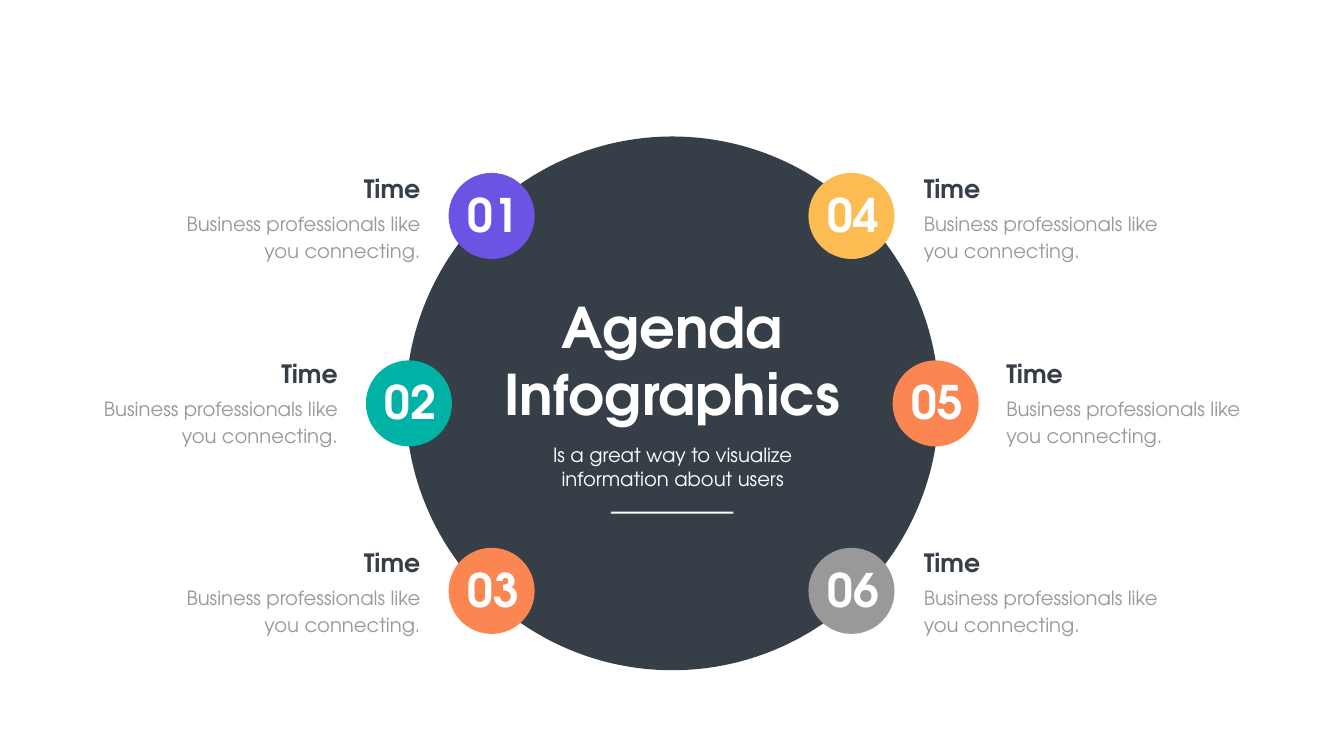
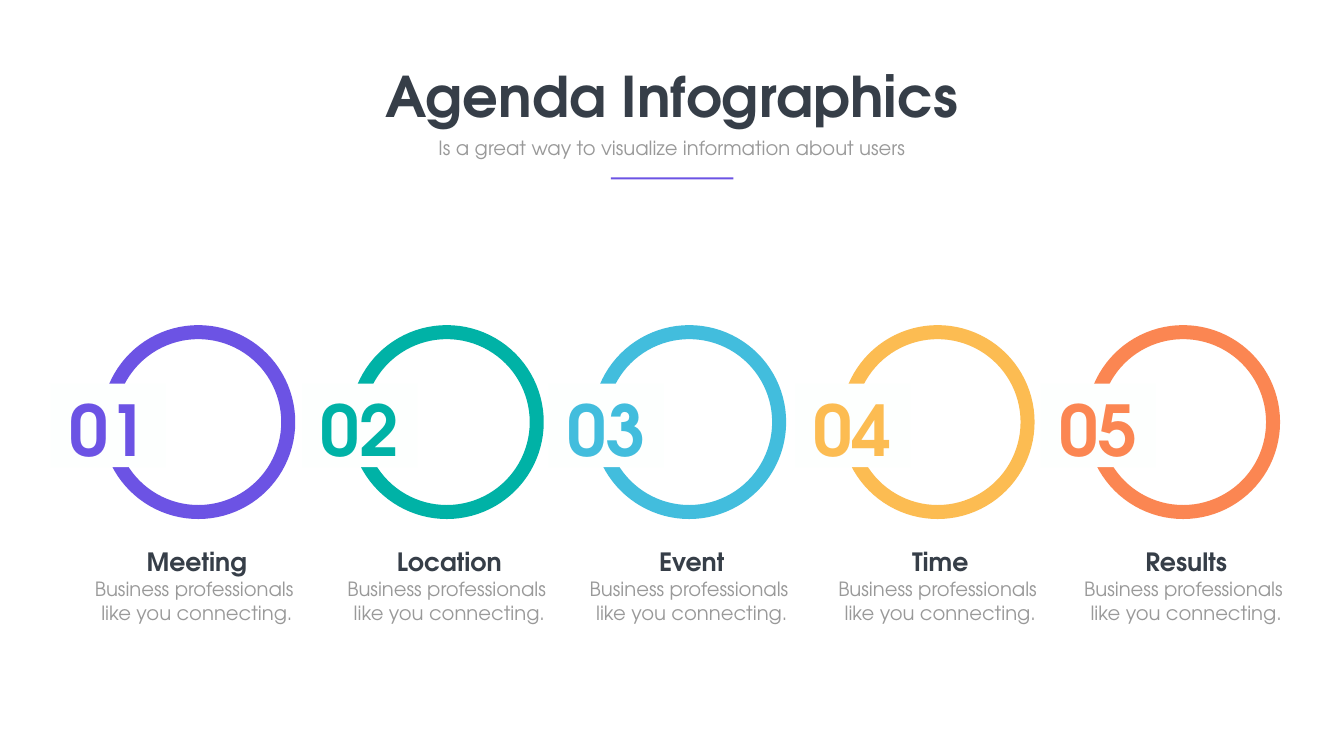
from pptx import Presentation
from pptx.dml.color import RGBColor
from pptx.enum import shapes, text
from pptx.util import Pt

# Content: number, colour, badge left, caption left, badge top, caption top
FONT = "TeX Gyre Adventor"
DARK, GREY, WHITE, PLATE = "363E48", "999999", "FFFFFF", "FDFFFE"
PURPLE, TEAL, ORANGE = "6C53E4", "00B2A6", "FB8652"
YELLOW, BLUE, SILVER = "FCBC52", "42BDDD", "989998"

TITLE = ["Agenda", "Infographics"]
SUBTITLE = "Is a great way to visualize information about users"
TOPIC = "Time"
DETAIL = ["Business professionals ", "like you connecting."]
DETAIL_RUNNING = "".join(["Business professionals like ", "you connecting."])

ROWS = [(247, 243.4), (514.8, 507.6), (782.6, 777.6)]  # badge top, caption top
SIDES = [  # alignment, (badge left, caption left) per row, (number, colour) per row
    ("RIGHT", [(640.8, 239), (522.7, 121), (640.8, 239)],
     [("01", PURPLE), ("02", TEAL), ("03", ORANGE)]),
    ("LEFT", [(1154.9, 1312.6), (1275.1, 1430.6), (1154.9, 1312.6)],
     [("04", YELLOW), ("05", ORANGE), ("06", SILVER)]),
]
STEPS = [  # number, heading, colour, ring left, plate left, caption left
    ("01", "Meeting", PURPLE, 154.8, 72.7, 128.2),
    ("02", "Location", TEAL, 509.8, 432, 488.9),
    ("03", "Event", BLUE, 856.1, 784.1, 835.2),
    ("04", "Time", YELLOW, 1211, 1136.2, 1190.2),
    ("05", "Results", ORANGE, 1561.7, 1486.8, 1541.5),
]


def color(value):
    return RGBColor.from_string(value)


def write(frame, lines, size, ink, bold=False, align="CENTER", spacing=None, wrap=True):
    frame.word_wrap = wrap
    frame.vertical_anchor = text.MSO_ANCHOR.TOP
    for index, line in enumerate(lines):
        paragraph = frame.paragraphs[0] if index == 0 else frame.add_paragraph()
        paragraph.text = line
        paragraph.alignment = text.PP_ALIGN[align]
        if spacing:
            paragraph.line_spacing = Pt(spacing)
        paragraph.font.name = FONT
        paragraph.font.size = Pt(size)
        paragraph.font.bold = bold
        paragraph.font.color.rgb = color(ink)


def label(slide, box, lines, size, ink, **style):
    write(slide.shapes.add_textbox(*map(Pt, box)).text_frame, lines, size, ink, **style)


def draw(slide, kind, box, fill=None, outline=None):
    shape = slide.shapes.add_shape(shapes.MSO_SHAPE[kind], *map(Pt, box))
    shape.shadow.inherit = False
    if fill:
        shape.fill.solid()
        shape.fill.fore_color.rgb = color(fill)
    else:
        shape.fill.background()
    if outline:
        shape.line.color.rgb = color(outline)
        shape.line.width = Pt(20)
    else:
        shape.line.fill.background()
    return shape


def title_rule(slide, top, ink):
    draw(slide, "RECTANGLE", (872.6, top, 175, 3), ink)


def build_wheel(slide):
    # Hub with the title
    draw(slide, "OVAL", (579.5, 195, 762, 762.5), DARK)
    label(slide, (710.6, 414.7, 499.7, 201), TITLE, 80, WHITE, bold=True)
    label(slide, (772.6, 629.3, 376.6, 75), [SUBTITLE], 28, WHITE)
    title_rule(slide, 730.8, WHITE)

    # Badges and captions on both sides
    for align, lefts, badges in SIDES:
        for (top, caption_top), (left, caption_left), (number, fill) in zip(ROWS, lefts, badges):
            draw(slide, "OVAL", (left, top, 123, 123), fill)
            label(slide, (left + 19.5, top + 15.5, 89.3, 87), [number], 66, WHITE,
                  bold=True, wrap=False)
            label(slide, (caption_left, caption_top, 368.6, 51), [TOPIC], 36, DARK,
                  bold=True, align=align)
            label(slide, (caption_left, caption_top + 50.4, 368.6, 83), [DETAIL_RUNNING],
                  28, GREY, align=align, spacing=38.6)


def build_steps(slide):
    # Heading
    label(slide, (537.8, 84.2, 843.8, 104.4), [" ".join(TITLE)], 80, DARK,
          bold=True, wrap=False)
    label(slide, (615.6, 190.8, 688.3, 41), [SUBTITLE], 28, GREY)
    title_rule(slide, 253.4, PURPLE)

    # Rings, each opened by a plate with its number
    for number, heading, ink, ring_left, plate_left, caption_left in STEPS:
        draw(slide, "OVAL", (ring_left, 474.5, 257, 257), outline=ink)
        plate = draw(slide, "RECTANGLE", (plate_left, 547.9, 164.2, 119.5), PLATE)
        write(plate.text_frame, [number], 100, ink, bold=True)
        label(slide, (caption_left, 776.2, 306, 44), [heading], 36, DARK, bold=True)
        label(slide, (caption_left, 820.8, 306, 65.5), DETAIL, 28, GREY)


def main():
    deck = Presentation()
    deck.slide_width, deck.slide_height = Pt(1920), Pt(1080)
    for build in (build_wheel, build_steps):
        build(deck.slides.add_slide(deck.slide_layouts[6]))
    deck.save("out.pptx")


if __name__ == "__main__":
    main()
